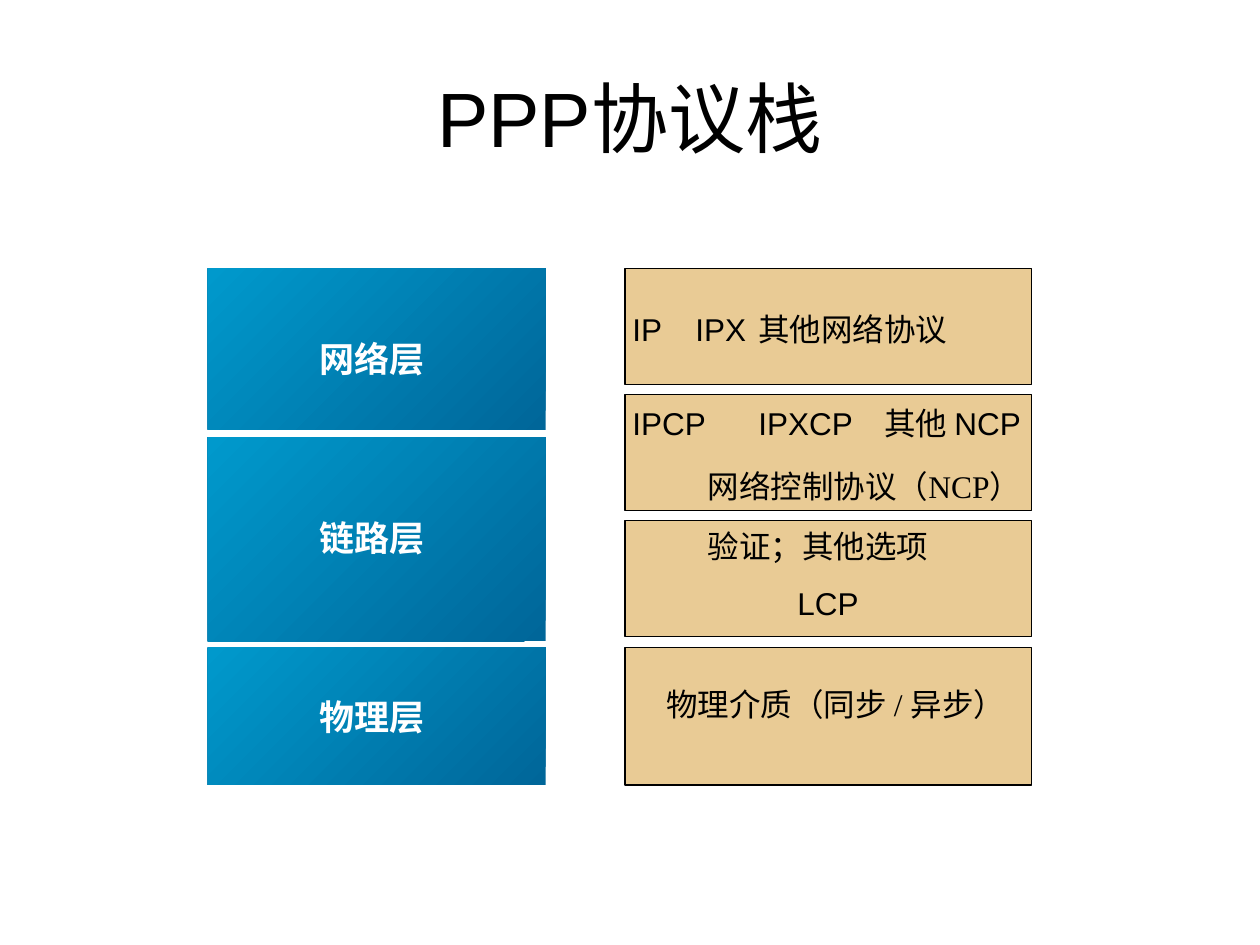
from lxml import etree
from pptx import Presentation
from pptx.dml.color import RGBColor
from pptx.enum.shapes import MSO_SHAPE
from pptx.enum.text import MSO_ANCHOR, PP_ALIGN
from pptx.oxml.ns import qn
from pptx.util import Inches, Pt

RECT = MSO_SHAPE.RECTANGLE
MIDDLE = MSO_ANCHOR.MIDDLE
CENTER = PP_ALIGN.CENTER
COLORS = {k: RGBColor.from_string(v) for k, v in {
    "black": "000000", "white": "FFFFFF", "tan": "E9CB95",
    "deep": "006699", "bright": "0099CC"}.items()}
SANS, SERIF = "Arial", "Times New Roman"


def add_text(left, top, width, height, lines, size, color, bold=False, gap=0):
    """Each line is (text, font, indent, tab stops), distances in inches."""
    sp = s.shapes.add_textbox(*map(Inches, (left, top, width, height)))
    tf = sp.text_frame
    tf.word_wrap = True
    for i, (text, font, indent, stops) in enumerate(lines):
        p = tf.paragraphs[0] if i == 0 else tf.add_paragraph()
        p.space_before = Pt(gap if i else 0)
        r = p.add_run()
        r.text = text
        r.font.color.rgb = COLORS[color]
        for name, value in {"name": font, "size": Pt(size), "bold": bold}.items():
            setattr(r.font, name, value)
        pPr = p._p.get_or_add_pPr()
        pPr.set("marL", str(Inches(indent)))
        pPr.set("indent", "0")
        if stops:
            tabs = etree.SubElement(pPr, qn("a:tabLst"))
            for stop in stops:
                etree.SubElement(tabs, qn("a:tab"), pos=str(Inches(stop)), algn="l")
    return tf


def add_rect(left, top, width, height):
    sp = s.shapes.add_shape(RECT, *map(Inches, (left, top, width, height)))
    sp.shadow.inherit = False
    return sp


prs = Presentation()
prs.slide_width, prs.slide_height = Inches(10), Inches(7.5)
s = prs.slides.add_slide(prs.slide_layouts[6])

title = add_text(0.5, 0.3, 9, 1.25, [("PPP协议栈", SANS, 0, ())], 44, "black")
title.vertical_anchor = MIDDLE
title.paragraphs[0].alignment = CENTER

# Left column: layers (name, top, height, label top)
layers = [("网络层", 2.13, 1.28, 2.63),
          ("链路层", 3.47, 1.62, 4.05),
          ("物理层", 5.14, 1.09, 5.47)]
for name, top, height, label_top in layers:
    sp = add_rect(1.65, top, 2.68, height)
    sp.fill.gradient()
    sp.fill.gradient_angle = 135
    for stop, color in zip(sp.fill.gradient_stops, ("deep", "bright")):
        stop.color.rgb = COLORS[color]
    sp.line.fill.background()
    add_text(2.44, label_top, 1.8, 0.44, [(name, SANS, 0, ())], 20, "white", bold=True)

# Right column: protocols (top, height, text top, paragraph gap, lines)
protocols = [
    (2.13, 0.92, 2.41, 0, [("IP\tIPX\t其他网络协议", SANS, 0, (0.73, 1.61))]),
    (3.13, 0.92, 3.16, 14, [("IPCP\tIPXCP\t其他 NCP", SANS, 0, (0.93, 2.02)),
                            ("网络控制协议（NCP）", SERIF, 0.6, ())]),
    (4.13, 0.92, 4.13, 11.2, [("验证；其他选项", SERIF, 0.6, ()),
                              ("LCP", SANS, 1.31, ())]),
    (5.14, 1.09, 5.39, 0, [("物理介质（同步 / 异步）", SERIF, 0.27, ())]),
]
for top, height, text_top, gap, lines in protocols:
    sp = add_rect(4.96, top, 3.23, height)
    sp.fill.solid()
    sp.fill.fore_color.rgb = COLORS["tan"]
    sp.line.color.rgb = COLORS["black"]
    sp.line.width = Pt(0.75)
    add_text(4.92, text_top, 3.62, 0.4 * len(lines), lines, 18, "black", gap=gap)

prs.save("out.pptx")
